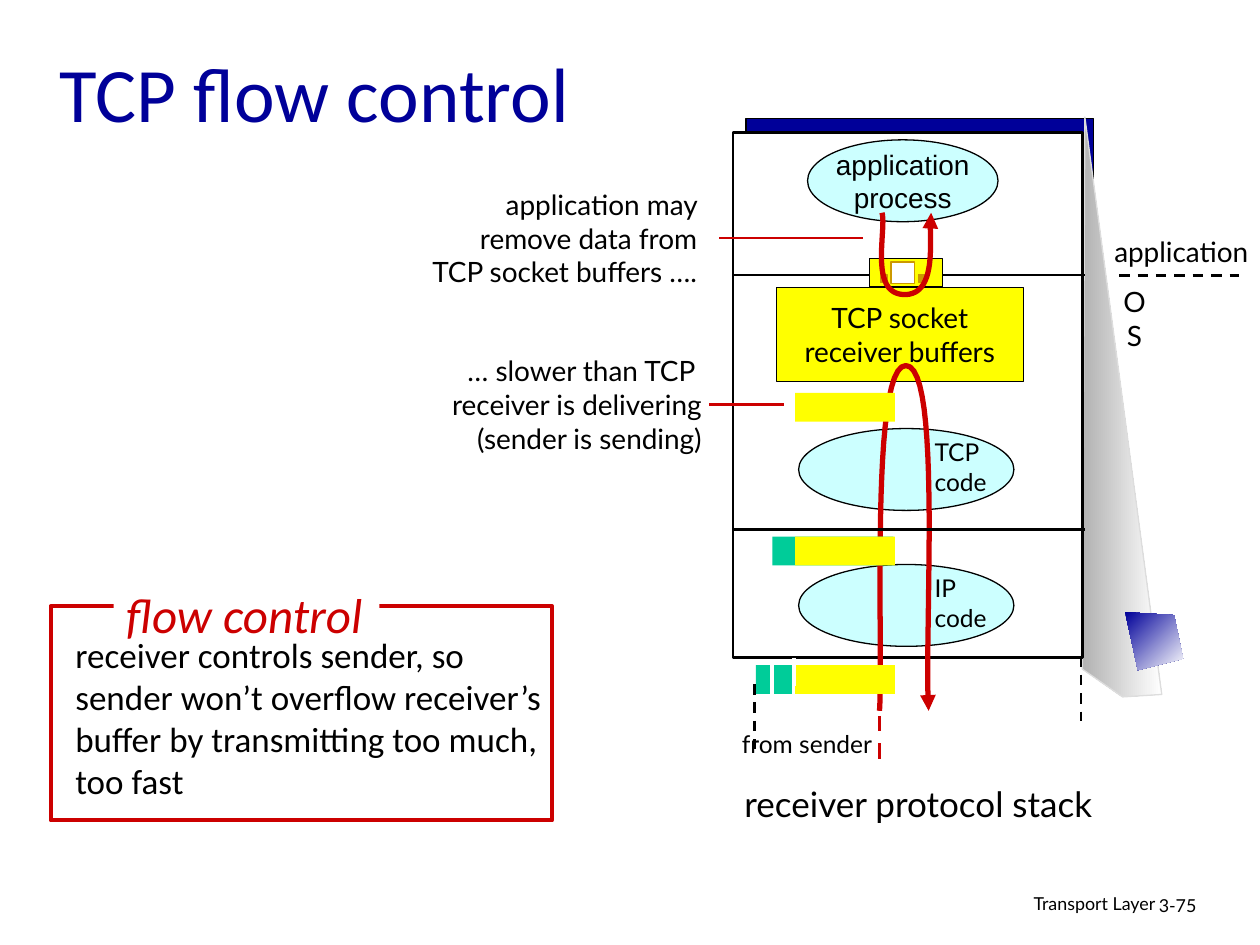
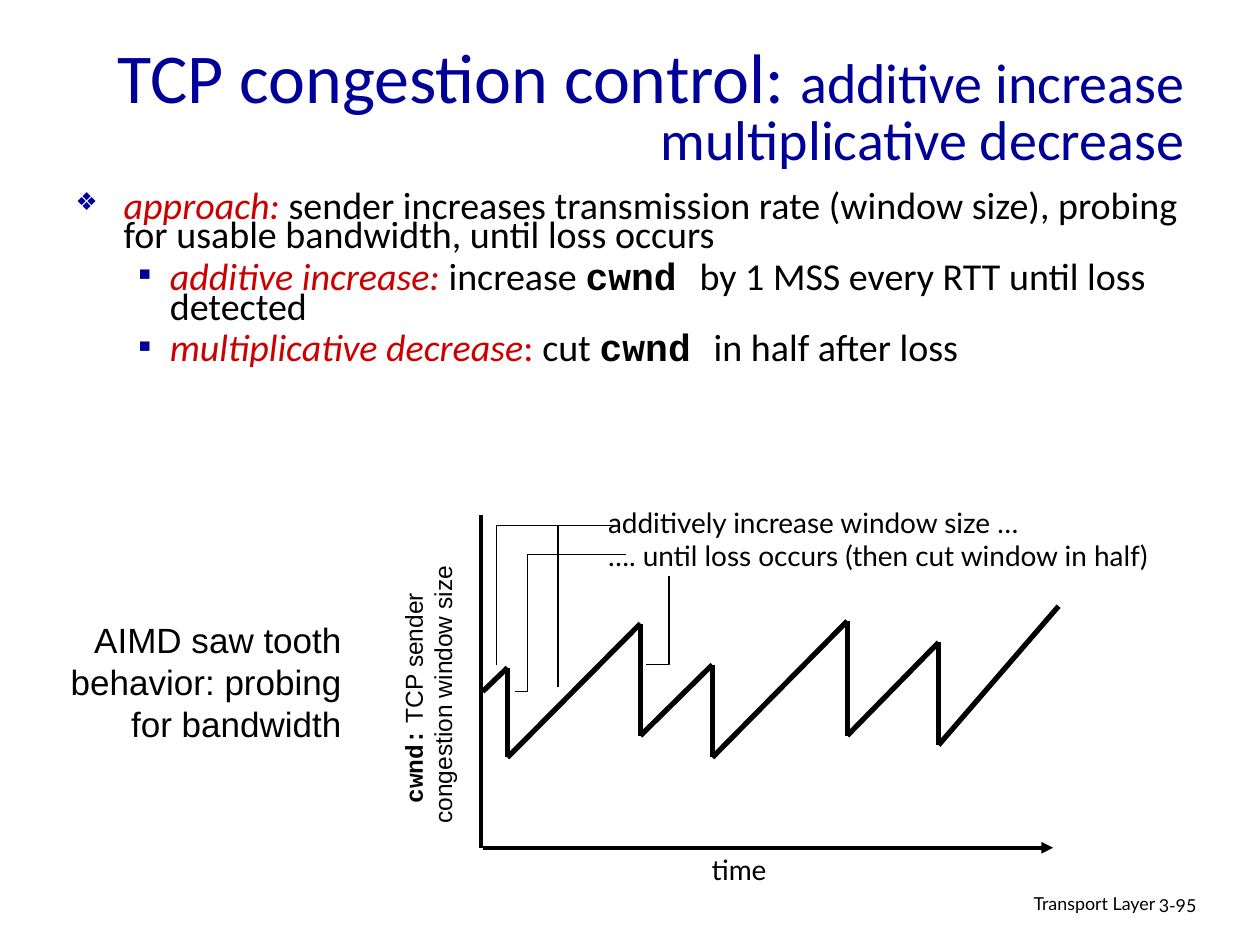
"""Build two slides on TCP flow control and congestion control."""
from dataclasses import dataclass
from itertools import pairwise
from typing import NamedTuple, Optional

import pptx
import pptx.dml.color
import pptx.enum.dml
import pptx.enum.shapes
import pptx.enum.text
import pptx.oxml.ns
import pptx.util
from lxml import etree

Cm = pptx.util.Cm
Align = pptx.enum.text.PP_ALIGN
Preset = pptx.enum.shapes.MSO_SHAPE
Fit = pptx.enum.text.MSO_AUTO_SIZE
Point = tuple[float, float]
qn = pptx.oxml.ns.qn


@dataclass(frozen=True)
class Theme:
    navy: str = "000099"
    red: str = "CC0000"
    black: str = "000000"
    white: str = "FFFFFF"
    yellow: str = "FFFF00"
    green: str = "00CC99"
    cyan: str = "CCFFFF"
    ochre: str = "CC9900"
    gray: str = "B2B2B2"
    pale: str = "DDDDDD"
    heading: str = "Calibri"
    label: str = "Lato"
    plain: str = "Arial"
    code: str = "Courier New"
    title: float = 44
    long_title: float = 40
    subtitle: float = 32
    callout: float = 28
    body: float = 21.7
    large: float = 20
    medium: float = 16
    small: float = 14
    footer: float = 10.2


THEME = Theme()


class Box(NamedTuple):
    left: float
    top: float
    width: float
    height: float


class Span(NamedTuple):
    text: str
    color: Optional[str] = None
    italic: Optional[bool] = None
    font: Optional[str] = None
    bold: Optional[bool] = None
    size: Optional[float] = None


class Style(NamedTuple):
    size: float
    font: str = THEME.label
    color: str = THEME.black
    align: Align = Align.LEFT
    italic: bool = False
    spacing: float = 1.0


class Node(NamedTuple):
    box: Box
    fill: str
    outline: Optional[str] = THEME.black
    weight: float = 0.75
    preset: Preset = Preset.RECTANGLE


class Rule(NamedTuple):
    start: Point
    end: Point
    color: str = THEME.black
    weight: float = 1.5
    dashed: bool = False
    arrow: bool = False


class Label(NamedTuple):
    box: Box
    lines: list
    style: Style
    wrap: bool = False


class Bullet(NamedTuple):
    mark: str
    level: int
    margin: float
    hang: float
    scale: int
    spans: list


def rgb(code: str) -> pptx.dml.color.RGBColor:
    return pptx.dml.color.RGBColor.from_string(code)


def measures(box: Box) -> list:
    return [Cm(value) for value in box]


def write(para, content, style: Style) -> None:
    para.alignment, para.line_spacing = style.align, style.spacing
    para.space_before = pptx.util.Pt(0)
    para.font.name, para.font.size = style.font, pptx.util.Pt(style.size)
    para.font.color.rgb = rgb(style.color)
    para.font.italic = style.italic
    for span in [Span(content)] if isinstance(content, str) else content:
        run = para.add_run()
        run.text = span.text
        if span.color:
            run.font.color.rgb = rgb(span.color)
        if span.font:
            run.font.name = span.font
        if span.size:
            run.font.size = pptx.util.Pt(span.size)
        run.font.italic, run.font.bold = span.italic, span.bold


def fill_frame(frame, lines: list, style: Style, wrap: bool = False) -> None:
    frame.word_wrap = wrap
    for index, content in enumerate(lines):
        para = frame.add_paragraph() if index else frame.paragraphs[0]
        write(para, content, style)


def draw_label(page, label: Label):
    box = page.shapes.add_textbox(*measures(label.box))
    fill_frame(box.text_frame, label.lines, label.style, label.wrap)
    box.text_frame.auto_size = Fit.SHAPE_TO_FIT_TEXT
    return box


def set_line(shape, color: Optional[str], weight: float) -> None:
    if color is None:
        shape.line.fill.background()
        return
    shape.line.color.rgb = rgb(color)
    shape.line.width = pptx.util.Pt(weight)


def draw_node(page, node: Node):
    shape = page.shapes.add_shape(node.preset, *measures(node.box))
    shape.shadow.inherit = False
    shape.fill.solid()
    shape.fill.fore_color.rgb = rgb(node.fill)
    set_line(shape, node.outline, node.weight)
    return shape


def add_arrow(shape) -> None:
    line = shape._element.spPr.find(qn("a:ln"))
    etree.SubElement(line, qn("a:tailEnd"), type="triangle")


def draw_rule(page, rule: Rule) -> None:
    ends = [Cm(value) for value in (*rule.start, *rule.end)]
    line = page.shapes.add_connector(pptx.enum.shapes.MSO_CONNECTOR.STRAIGHT, *ends)
    set_line(line, rule.color, rule.weight)
    if rule.dashed:
        line.line.dash_style = pptx.enum.dml.MSO_LINE.DASH
    if rule.arrow:
        add_arrow(line)
    etree.SubElement(line._element.spPr, qn("a:effectLst"))


def draw_outline(page, points: list[Point], color: Optional[str], weight: float, closed: bool = False):
    (left, top), *rest = [(Cm(x), Cm(y)) for x, y in points]
    builder = page.shapes.build_freeform(left, top)
    builder.add_line_segments(rest, close=closed)
    shape = builder.convert_to_shape()
    shape.shadow.inherit = False
    shape.fill.background()
    set_line(shape, color, weight)
    return shape


def draw_gradient(page, points: list[Point], start: str, angle: float, outline: Optional[str]) -> None:
    shape = draw_outline(page, points, outline, 0.75, closed=True)
    shape.fill.gradient()
    shape.fill.gradient_angle = angle
    for stop, color in zip(shape.fill.gradient_stops, (start, THEME.white)):
        stop.color.rgb = rgb(color)


def bezier(points: list[Point], steps: int = 24) -> list[Point]:
    def at(t: float) -> Point:
        weights = ((1 - t) ** 3, 3 * t * (1 - t) ** 2, 3 * t * t * (1 - t), t ** 3)
        return tuple(sum(w * p[axis] for w, p in zip(weights, points)) for axis in (0, 1))
    return [at(step / steps) for step in range(steps + 1)]


def draw_flow(page, points: list[Point]) -> None:
    trail = bezier(points[:4]) + bezier(points[3:])[1:]
    add_arrow(draw_outline(page, trail, THEME.red, 3))


def start_page(deck, layout: int, box: Box, title: list, style: Style, number: str):
    page = deck.slides.add_slide(deck.slide_layouts[layout])
    heading = page.shapes.title
    heading.left, heading.top, heading.width, heading.height = measures(box)
    fill_frame(heading.text_frame, [title], style, True)
    heading.text_frame.vertical_anchor = pptx.enum.text.MSO_ANCHOR.MIDDLE
    heading.text_frame.auto_size = Fit.NONE
    footer = Style(THEME.footer, spacing=0.9)
    draw_label(page, Label(Box(15.49, 17.91, 8.05, 0.79), ["Transport Layer"], footer._replace(align=Align.RIGHT), True))
    draw_label(page, Label(Box(23.11, 17.96, 1.88, 0.76), [number], footer, True))
    return page


def flow_control(deck) -> None:
    t = THEME
    page = start_page(deck, 5, Box(0.94, 0.48, 21.59, 2.72), [Span("TCP flow control")],
                      Style(t.title, t.heading, t.navy), "3-75")
    note = Style(t.medium, align=Align.RIGHT)
    centred = Style(t.medium, align=Align.CENTER)

    draw_node(page, Node(Box(15.04, 2.39, 7.01, 10.72), t.navy))
    draw_gradient(page, [(23.42, 14), (21.87, 2.36), (21.82, 13.49), (22.63, 14.05)], t.gray, 0, t.pale)
    draw_node(page, Node(Box(14.78, 2.67, 7.04, 10.59), t.white, weight=1.5))
    process = draw_node(page, Node(Box(16.28, 2.82, 3.84, 1.65), t.cyan, preset=Preset.OVAL))
    fill_frame(process.text_frame, ["application", "process"], centred._replace(font=t.plain))
    buffers = draw_node(page, Node(Box(15.65, 5.79, 4.98, 1.9), t.yellow))
    fill_frame(buffers.text_frame, ["TCP socket", "receiver buffers"], centred)
    for protocol, top in (("TCP", 8.64), ("IP", 11.38)):
        draw_node(page, Node(Box(16.1, top, 4.34, 1.65), t.cyan, preset=Preset.OVAL))
        draw_label(page, Label(Box(18.59, top + 0.05, 1.63, 1.45), [protocol, "code"], Style(t.small)))

    draw_flow(page, [(17.73, 14.33), (17.81, 13.16), (17.53, 7.37), (18.26, 7.37),
                     (19, 7.37), (18.62, 12.88), (18.72, 14.33)])
    for height in (10.67, 5.54):
        draw_rule(page, Rule((14.78, height), (21.87, height)))
    draw_node(page, Node(Box(17.53, 5.21, 1.47, 0.58), t.yellow))
    draw_node(page, Node(Box(17.96, 5.28, 0.48, 0.43), t.white, t.ochre))
    for left in (17.75, 18.52):
        draw_node(page, Node(Box(left, 5.54, 0.13, 0.15), t.ochre, t.ochre))
    draw_flow(page, [(17.78, 4.29), (17.88, 4.62), (17.5, 5.94), (18.24, 5.94),
                     (18.97, 5.94), (18.69, 4.57), (18.77, 4.29)])

    for header in (Box(15.24, 13.41, 2.79, 0.58), Box(15.57, 10.82, 2.44, 0.58)):
        draw_node(page, Node(header, t.green, None))
    for left in (15.57, 16):
        draw_rule(page, Rule((left, 13.41), (left, 14), t.white, 2.25))
    for top in (7.92, 10.82, 13.41):
        draw_node(page, Node(Box(16.03, top, 2.01, 0.58), t.yellow, None))

    for label in (
        Label(Box(22.1, 4.6, 3.43, 0.94), ["application"], centred),
        Label(Box(22.25, 5.61, 1.24, 0.94), ["OS"], centred, True),
        Label(Box(14.5, 15.65, 8.03, 1.12), ["receiver protocol stack"], centred._replace(size=t.large)),
        Label(Box(5.59, 3.66, 8.86, 2.29),
              ["application may ", "remove data from ", "TCP socket buffers …. "], note, True),
        Label(Box(8.61, 7.01, 5.79, 2.97),
              ["… slower than TCP ", "receiver is delivering", "(sender is sending)"], note, True),
        Label(Box(14.58, 14.58, 3.38, 0.86), ["from sender"], centred._replace(size=t.small)),
    ):
        draw_label(page, label)
    for rule in (
        Rule((22.56, 5.56), (24.97, 5.56), dashed=True),
        Rule((14.5, 4.8), (17.4, 4.8), t.red),
        Rule((14.3, 8.15), (15.8, 8.15), t.red),
        Rule((17.73, 14.43), (17.73, 15.39), t.red, 2.25, True),
        Rule((16, 13.26), (16, 13.82), t.white, 2.25),
        Rule((15.21, 13.79), (15.21, 15.09), dashed=True),
        Rule((21.79, 13.23), (21.79, 14.53), dashed=True),
    ):
        draw_rule(page, rule)

    draw_node(page, Node(Box(1.02, 12.22, 10.11, 4.32), t.white, t.red, 2.25))
    definition = ("receiver controls sender, so sender won’t overflow receiver’s "
                  "buffer by transmitting too much, too fast")
    draw_label(page, Label(Box(1.27, 12.65, 9.98, 4.5), [definition], Style(t.large, t.heading), True))
    draw_node(page, Node(Box(2.29, 11.91, 5.36, 0.99), t.white, None))
    draw_label(page, Label(Box(2.08, 11.66, 5.69, 1.45), ["flow control"],
                           Style(t.callout, t.heading, t.red, Align.CENTER, True)))
    draw_gradient(page, [(22.68, 12.34), (23.67, 12.4), (23.85, 13.28), (22.94, 13.51)], t.navy, 315, None)


def write_bullet(para, bullet: Bullet, style: Style) -> None:
    para.level = bullet.level
    props = para._p.get_or_add_pPr()
    props.set("marL", str(Cm(bullet.margin)))
    props.set("indent", str(-Cm(bullet.hang)))
    color = etree.SubElement(props, qn("a:buClr"))
    etree.SubElement(color, qn("a:srgbClr"), val=THEME.navy)
    etree.SubElement(props, qn("a:buSzPct"), val=str(bullet.scale * 1000))
    etree.SubElement(props, qn("a:buChar"), char=bullet.mark)
    write(para, bullet.spans, style)


def congestion_control(deck) -> None:
    t = THEME
    page = start_page(deck, 1, Box(0.64, 0.64, 23.5, 3.18),
                      [Span("TCP congestion control: "),
                       Span("additive increase multiplicative decrease", size=t.subtitle)],
                      Style(t.long_title, t.heading, t.navy, Align.RIGHT, spacing=0.8), "3-95")
    cwnd = Span("cwnd ", font=t.code, bold=True)
    bullets = [
        Bullet("❖", 0, 0.97, 0.97, 65, [
            Span("approach: ", t.red, True),
            Span("sender increases transmission rate (window size), probing for usable bandwidth, until loss occurs")]),
        Bullet("▪", 1, 1.9, 0.64, 100, [
            Span("additive increase:", t.red, True), Span(" increase "), cwnd,
            Span("by 1 MSS every RTT until loss detected")]),
        Bullet("▪", 1, 1.9, 0.64, 100, [
            Span("multiplicative decrease", t.red, True), Span(":", t.red), Span(" cut "), cwnd,
            Span("in half after loss")]),
    ]
    body = page.placeholders[1]
    body.left, body.top, body.width, body.height = measures(Box(1.27, 3.81, 23.27, 4.01))
    frame = body.text_frame
    frame.auto_size = Fit.NONE
    for index, bullet in enumerate(bullets):
        para = frame.add_paragraph() if index else frame.paragraphs[0]
        write_bullet(para, bullet, Style(t.body, t.heading, spacing=0.65))
        para.space_before = pptx.util.Pt(7 if index else 0)

    axis_title = draw_label(page, Label(
        Box(5.77, 13.28, 5.72, 1.45),
        [[Span("cwnd:", font=t.code, bold=True), Span(" TCP sender ")], "congestion window size"],
        Style(t.small, t.plain, align=Align.CENTER)))
    axis_title.rotation = 270
    draw_label(page, Label(Box(1.17, 12.34, 5.97, 2.79), ["AIMD saw tooth", "behavior: probing", "for bandwidth"],
                           Style(t.large, t.plain, align=Align.RIGHT)))
    draw_rule(page, Rule((9.73, 17.09), (21.23, 17.09), weight=2.25, arrow=True))
    draw_rule(page, Rule((9.7, 10.39), (9.7, 17.09), weight=2.25))
    sawtooth = [(9.73, 13.94), (10.23, 13.46), (10.23, 15.27), (12.91, 12.57), (12.91, 14.83), (14.36, 13.4),
                (14.36, 15.27), (17.08, 12.52), (17.08, 14.83), (18.92, 12.95), (18.92, 15.02), (21.34, 12.22)]
    for start, end in pairwise(sawtooth):
        draw_rule(page, Rule(start, end, weight=3))
    draw_label(page, Label(Box(12.01, 10.06, 12.14, 1.63),
                           ["additively increase window size …", "…. until loss occurs (then cut window in half)"],
                           Style(t.medium)))
    for leader in (
        [(12.4, 10.59), (10.01, 10.59), (10.01, 13.41)],
        [(12.62, 11.18), (10.64, 11.18), (10.64, 13.94), (10.39, 13.94)],
        [(12.4, 10.59), (11.25, 10.59), (11.25, 13.84)],
        [(13.49, 11.61), (13.49, 13.39), (13.03, 13.39)],
    ):
        draw_outline(page, leader, t.black, 0.75)
    draw_label(page, Label(Box(14.05, 17.07, 1.7, 0.94), ["time"], Style(t.medium, align=Align.CENTER)))


def main() -> None:
    deck = pptx.Presentation()
    deck.slide_width, deck.slide_height = Cm(25.4), Cm(19.05)
    flow_control(deck)
    congestion_control(deck)
    deck.save("out.pptx")


if __name__ == "__main__":
    main()
